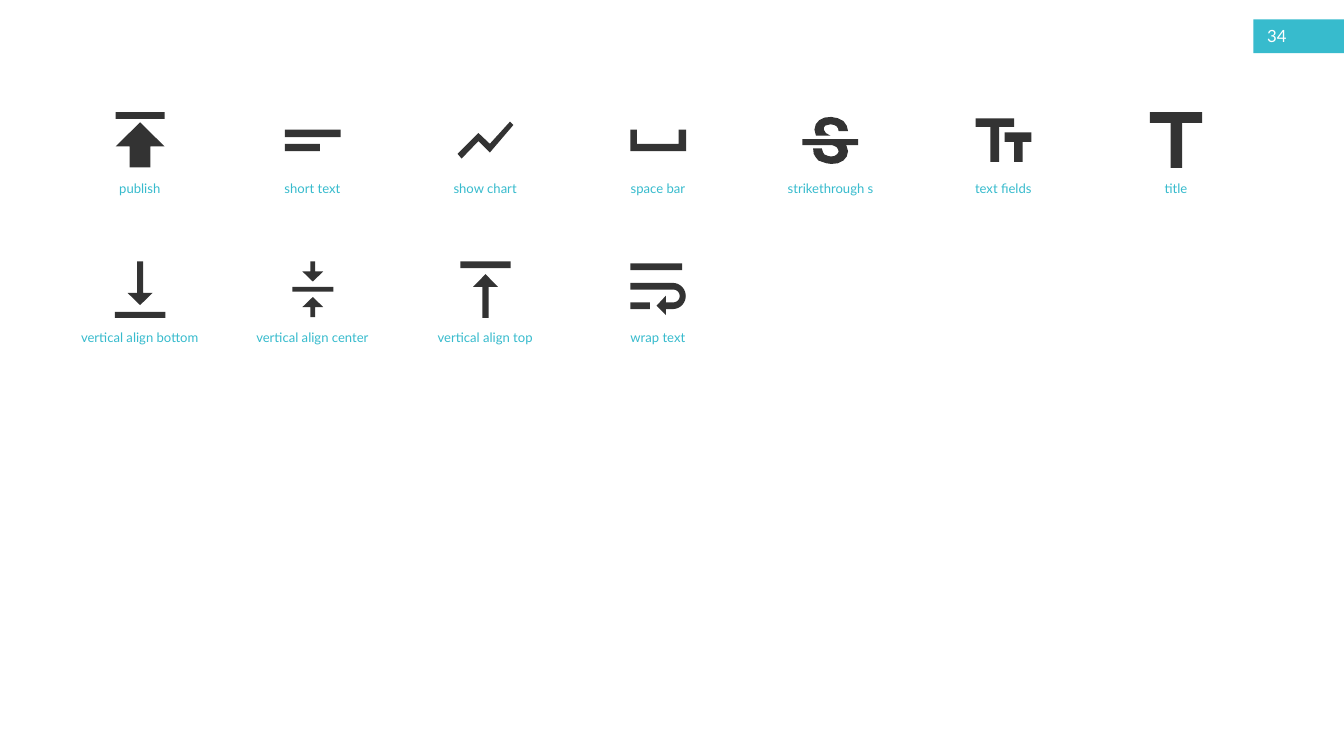
"""Build the icon sheet slide: a grid of captioned text and layout icons."""
import math

import pptx
import pptx.enum.shapes
import pptx.enum.text
import pptx.util
from pptx.dml.color import RGBColor
from pptx.util import Inches

COLORS = {"accent": "37BBCD", "icon": "333333", "light": "FFFFFF"}
FONT = "Lato"
COLUMNS = 7
COLUMN_STEP, ROW_STEP = 2.57, 2.22
FIRST_X, FIRST_Y = 2.08, 2.09
LABEL_WIDTH, LABEL_HEIGHT, LABEL_DROP = 2.78, 0.34, 0.55


def bar(left, top, right, bottom):
    """Return a rectangular outline in hundredths of an inch."""
    return [(left, top), (right, top), (right, bottom), (left, bottom)]


def arrow(left, right, stem_left, stem_right, tip, shoulder, tail):
    """Return a vertical arrow outline pointing from tail to tip."""
    return [(left, shoulder), (stem_left, shoulder), (stem_left, tail),
            (stem_right, tail), (stem_right, shoulder), (right, shoulder),
            ((left + right) / 2, tip)]


def tee(left, top, right, bottom, thickness, stem_left, stem_right):
    """Return the outline of a capital T."""
    under = top + thickness
    return [(left, top), (left, under), (stem_left, under),
            (stem_left, bottom), (stem_right, bottom), (stem_right, under),
            (right, under), (right, top)]


def half_turn(x, y, radius, upward=False):
    """Return points of a right-hand semicircle."""
    angles = [math.radians(degree) for degree in range(-90, 91, 10)]
    points = [(x + radius * math.cos(a), y + radius * math.sin(a)) for a in angles]
    return points[::-1] if upward else points


UPPER_S = [
    (-22, -8), (-24, -16), (-22, -24), (-17, -30), (-9, -34), (1, -35),
    (11, -33), (19, -29), (24, -22), (26, -14), (12, -14), (11, -18),
    (9, -21), (5, -23), (0, -24), (-4, -23), (-8, -22), (-10, -19),
    (-10, -16), (-7, -11), (0, -7), (-22, -7)]
LOWER_S = [
    (41, 7), (41, -2), (-42, -2), (-42, 7), (2, 7), (5, 8), (9, 10),
    (11, 13), (12, 16), (11, 19), (9, 21), (6, 23), (1, 24), (-4, 23),
    (-9, 21), (-11, 18), (-13, 12), (-26, 12), (-25, 20), (-22, 25),
    (-18, 30), (-12, 32), (-6, 34), (1, 35), (11, 34), (19, 30),
    (24, 24), (26, 16), (24, 9), (23, 7)]
ZIGZAG = [(-35, 27), (-10, 1), (7, 18), (42, -23), (37, -28), (7, 5),
          (-10, -11), (-41, 20)]
BRACKET = [(31, -16), (31, 5), (-31, 5), (-31, -16), (-41, -16), (-41, 16),
           (42, 16), (42, -16)]
RETURN_ARROW = ([(-41, -10), (-41, 0)] + half_turn(23, 9.5, 9.5)
                + [(12, 19), (12, 9), (-2, 24), (12, 38), (12, 29)]
                + half_turn(22, 9.5, 19.5, upward=True))

ICONS = [
    ("publish", [bar(-36, -42, 37, -32), arrow(-36, 37, -15, 16, -27, 9, 40)]),
    ("short text", [bar(-41, -16, 42, -5), bar(-41, 5, 11, 16)]),
    ("show chart", [ZIGZAG]),
    ("space bar", [BRACKET]),
    ("strikethrough s", [UPPER_S, LOWER_S]),
    ("text fields", [tee(-41, -33, 16, 32, 13, -19, -6),
                     tee(2, -12, 42, 32, 14, 16, 29)]),
    ("title", [tee(-39, -42, 39, 41, 16, -8, 9)]),
    ("vertical align bottom", [arrow(-18, 19, -4, 5, 23, 5, -42),
                               bar(-37, 33, 38, 42)]),
    ("vertical align center", [arrow(-15, 16, -3, 4, 11, 26, 41),
                               arrow(-15, 16, -3, 4, -12, -27, -42),
                               bar(-30, -4, 31, 3)]),
    ("vertical align top", [arrow(-18, 19, -4, 5, -23, -4, 42),
                            bar(-37, -42, 38, -32)]),
    ("wrap text", [bar(-41, 19, -12, 29), bar(-41, -39, 36, -29), RETURN_ARROW]),
]


def paint(shape, color):
    """Give a shape a plain fill without line or shadow."""
    shape.fill.solid()
    shape.fill.fore_color.rgb = RGBColor.from_string(COLORS[color])
    shape.line.fill.background()
    shape.shadow.inherit = False


def add_icon(page, x, y, outlines):
    """Draw the outlines as one freeform centred on x, y."""
    contours = [[(Inches(x + dx / 100), Inches(y + dy / 100)) for dx, dy in outline]
                for outline in outlines]
    builder = page.shapes.build_freeform(*contours[0][0])
    for number, contour in enumerate(contours):
        if number:
            builder.move_to(*contour[0])
        builder.add_line_segments(contour[1:], close=True)
    paint(builder.convert_to_shape(), "icon")


def add_text(page, text, left, top, width, height, size, color):
    """Add a one-line text box and return it."""
    box = page.shapes.add_textbox(*map(Inches, (left, top, width, height)))
    box.text_frame.word_wrap = True
    box.text_frame.text = text
    font = box.text_frame.paragraphs[0].runs[0].font
    font.name = FONT
    font.size = pptx.util.Pt(size)
    font.color.rgb = RGBColor.from_string(COLORS[color])
    return box


def add_label(page, text, x, y):
    """Add a centred caption below an icon."""
    box = add_text(page, text, x - LABEL_WIDTH / 2, y + LABEL_DROP,
                   LABEL_WIDTH, LABEL_HEIGHT, 14, "accent")
    box.text_frame.auto_size = pptx.enum.text.MSO_AUTO_SIZE.SHAPE_TO_FIT_TEXT
    box.text_frame.paragraphs[0].alignment = pptx.enum.text.PP_ALIGN.CENTER


def add_page_number(page, number):
    """Add the coloured tab with the page number."""
    tab = page.shapes.add_shape(pptx.enum.shapes.MSO_SHAPE.RECTANGLE,
                                *map(Inches, (18.65, 0.29, 1.35, 0.5)))
    paint(tab, "accent")
    box = add_text(page, number, 18.76, 0.28, 0.67, 0.5, 18, "light")
    box.text_frame.vertical_anchor = pptx.enum.text.MSO_ANCHOR.MIDDLE


def main():
    """Build and save the deck."""
    deck = pptx.Presentation()
    deck.slide_width, deck.slide_height = Inches(20), Inches(11.25)
    page = deck.slides.add_slide(deck.slide_layouts[6])
    add_page_number(page, "34")
    for index, (name, outlines) in enumerate(ICONS):
        row, column = divmod(index, COLUMNS)
        x = FIRST_X + column * COLUMN_STEP
        y = FIRST_Y + row * ROW_STEP
        add_icon(page, x, y, outlines)
        add_label(page, name, x, y)
    deck.save("out.pptx")


if __name__ == "__main__":
    main()
